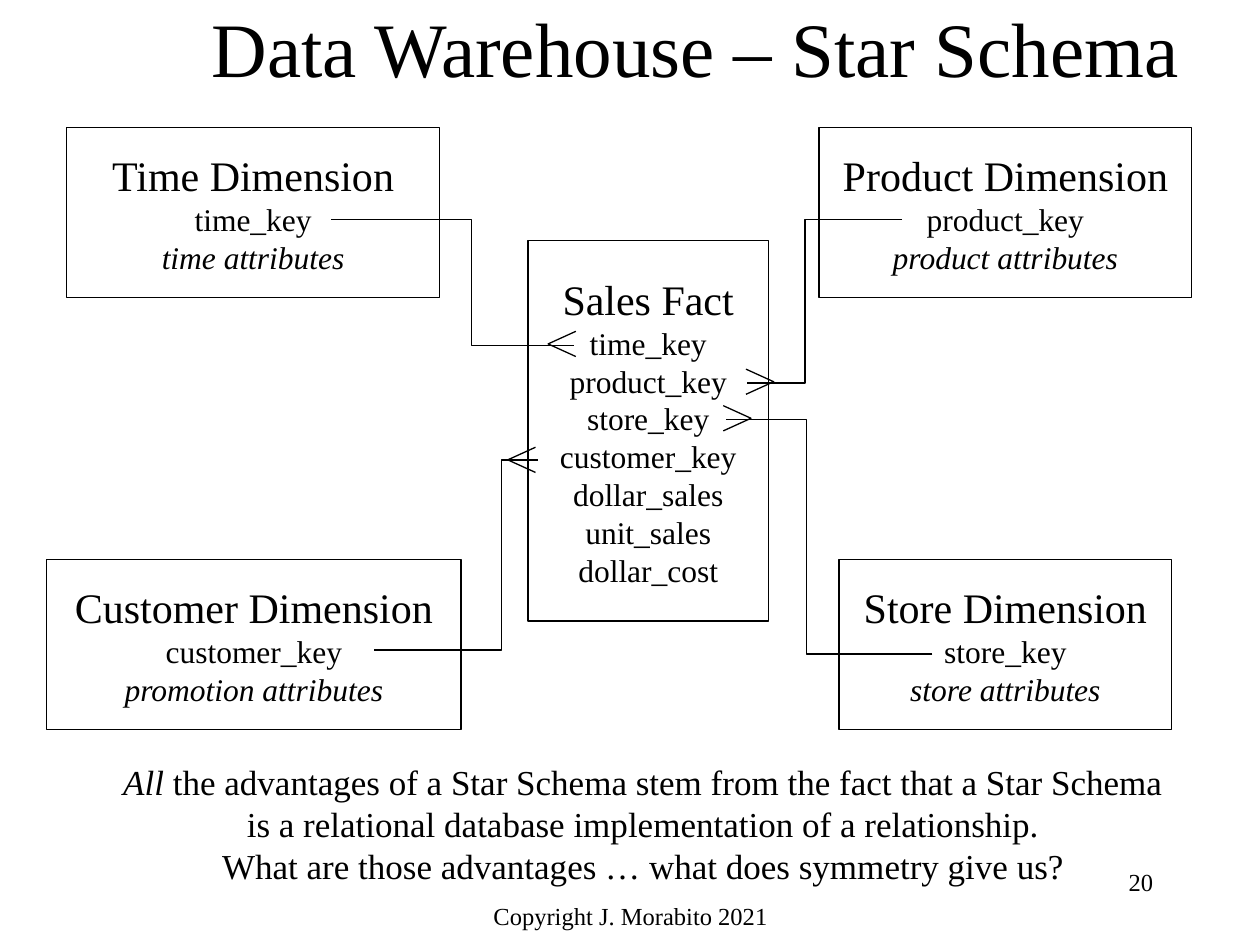
import pptx
import pptx.util
import pptx.dml.color
import pptx.enum.shapes
import pptx.enum.text

Inches = pptx.util.Inches
ALIGN = pptx.enum.text.PP_ALIGN
ANCHOR = pptx.enum.text.MSO_ANCHOR
COLORS = {"ink": "000000"}
FONT = "Times New Roman"


def ink():
    """Return the colour of text and lines."""
    return pptx.dml.color.RGBColor.from_string(COLORS["ink"])


def style_run(run, size, italic=False):
    """Set the font of one run."""
    run.font.name = FONT
    run.font.size = pptx.util.Pt(size)
    run.font.italic = italic
    run.font.color.rgb = ink()


def style_outline(shape):
    """Give a shape a thin line, no fill and no shadow."""
    shape.shadow.inherit = False
    shape.fill.background()
    shape.line.color.rgb = ink()
    shape.line.width = pptx.util.Pt(0.75)


def fill_frame(frame, paragraphs, align, anchor=ANCHOR.TOP, wrap=True):
    """Write paragraphs, each a list of (text, size, italic) runs."""
    frame.word_wrap = wrap
    frame.vertical_anchor = anchor
    frame.margin_left = frame.margin_right = Inches(0.1)
    frame.margin_top = frame.margin_bottom = Inches(0.05)
    for index, runs in enumerate(paragraphs):
        paragraph = frame.add_paragraph() if index else frame.paragraphs[0]
        paragraph.alignment = align
        for text, size, italic in runs:
            run = paragraph.add_run()
            run.text = text
            style_run(run, size, italic)


def add_text(slide, box, paragraphs, align, anchor=ANCHOR.TOP):
    """Add a text box in the given box."""
    shape = slide.shapes.add_textbox(*map(Inches, box))
    fill_frame(shape.text_frame, paragraphs, align, anchor)


def add_entity(slide, box, name, keys, attributes=None):
    """Add a schema table with its name, fields and optional attribute line."""
    rectangle = pptx.enum.shapes.MSO_SHAPE.RECTANGLE
    shape = slide.shapes.add_shape(rectangle, *map(Inches, box))
    style_outline(shape)
    paragraphs = [[(name, 24, False)]] + [[(key, 18, False)] for key in keys]
    if attributes:
        paragraphs.append([(attributes, 18, True)])
    fill_frame(shape.text_frame, paragraphs, ALIGN.CENTER, ANCHOR.MIDDLE, False)


def add_polyline(slide, points):
    """Add an open outline through points in inches."""
    start, *rest = [(Inches(x), Inches(y)) for x, y in points]
    builder = slide.shapes.build_freeform(*start)
    builder.add_line_segments(rest, close=False)
    style_outline(builder.convert_to_shape())


def add_relationship(slide, start, bend, end):
    """Join a dimension key to a fact key with a right-angled line."""
    add_polyline(slide, [start, (bend, start[1]), (bend, end[1]), end])


def add_crow_foot(slide, tip, direction):
    """Add a many-side mark opening from its tip to the left (-1) or right (1)."""
    x, y = tip
    base = x + 0.22 * direction
    add_polyline(slide, [(base, y - 0.1), tip, (base, y + 0.1)])


def add_schema(slide):
    """Add the fact table, its dimensions and their relationships."""
    add_entity(slide, (4.19, 1.91, 1.91, 3.02), "Sales Fact",
               ["time_key", "product_key", "store_key", "customer_key",
                "dollar_sales", "unit_sales", "dollar_cost"])
    top, bottom, height = 1.01, 4.44, 1.35
    dimensions = [
        (6.66, bottom, 2.64, "Store", "store"),
        (6.5, top, 2.96, "Product", "product"),
        (0.53, top, 2.96, "Time", "time"),
        (0.37, bottom, 3.29, "Customer", "promotion"),
    ]
    for left, y, width, name, attribute in dimensions:
        add_entity(slide, (left, y, width, height), f"{name} Dimension",
                   [f"{name.lower()}_key"], f"{attribute} attributes")
    relationships = [
        ((2.63, 1.74), 3.74, (4.56, 2.74), (4.35, 2.73), 1),
        ((7.16, 1.74), 6.39, (5.93, 3.04), (6.14, 3.03), -1),
        ((2.97, 5.16), 3.98, (4.27, 3.65), (4.03, 3.65), 1),
        ((7.4, 5.19), 6.4, (5.76, 3.33), (5.96, 3.32), -1),
    ]
    for start, bend, end, tip, direction in relationships:
        add_relationship(slide, start, bend, end)
        add_crow_foot(slide, tip, direction)


def main():
    """Build and save the star schema slide."""
    presentation = pptx.Presentation()
    presentation.slide_width = Inches(10)
    presentation.slide_height = Inches(7.5)
    slide = presentation.slides.add_slide(presentation.slide_layouts[6])
    add_text(slide, (1.58, 0.08, 8.42, 0.58),
             [[("Data Warehouse – Star Schema", 44, False)]],
             ALIGN.LEFT, ANCHOR.MIDDLE)
    add_schema(slide)
    add_text(slide, (0.83, 5.99, 8.55, 1.1), [
        [("All", 20, True),
         (" the advantages of a Star Schema stem from the fact that a Star Schema "
          "is a relational database implementation of a relationship.", 20, False)],
        [("What are those advantages … what does symmetry give us?", 20, False)],
    ], ALIGN.CENTER)
    add_text(slide, (3.42, 7.1, 3.17, 0.36),
             [[("Copyright J. Morabito 2021", 14, False)]], ALIGN.CENTER)
    add_text(slide, (7.17, 6.83, 2.08, 0.5), [[("20", 14, False)]], ALIGN.RIGHT)
    presentation.save("out.pptx")


if __name__ == "__main__":
    main()
